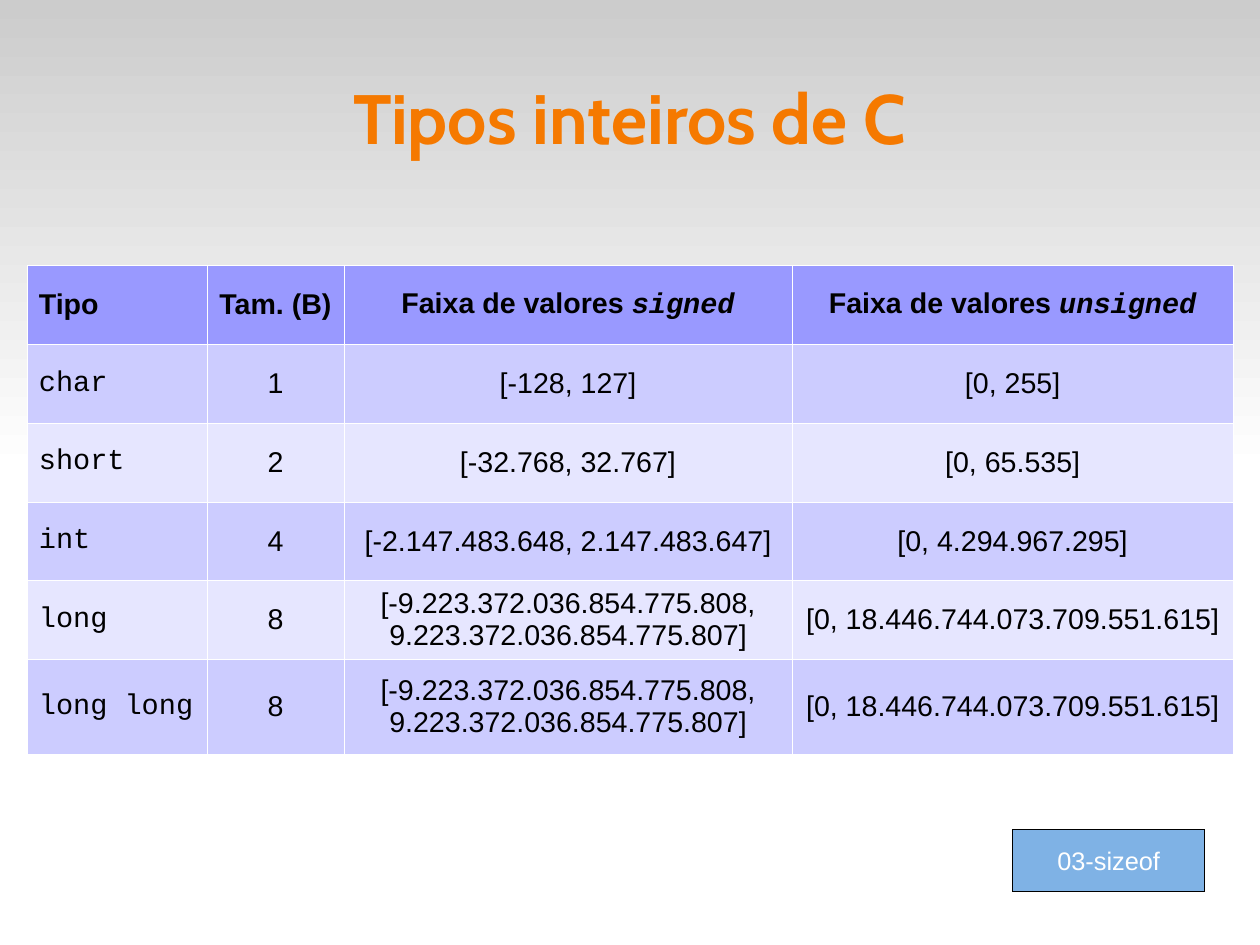
import dataclasses

import lxml.etree
import pptx
import pptx.dml.color
import pptx.enum.shapes
import pptx.enum.text
import pptx.oxml.ns
import pptx.util

Inches = pptx.util.Inches
ALIGN = pptx.enum.text.PP_ALIGN
MIDDLE = pptx.enum.text.MSO_ANCHOR.MIDDLE
RECT = pptx.enum.shapes.MSO_SHAPE.RECTANGLE
SANS, MONO = "Arial", "Courier New"
HEAD, DARK, LIGHT = "9999FF", "CCCCFF", "E6E6FF"
WIDE, HIGH = 28 / 2.54, 21 / 2.54
WIDTHS = (1.57, 1.2, 3.92, 3.86)
HEIGHTS = (0.69,) * 5 + (0.83,)
LONG = "[-9.223.372.036.854.775.808, 9.223.372.036.854.775.807]"
ULONG = "[0, 18.446.744.073.709.551.615]"


@dataclasses.dataclass
class Kind:
    name: str
    size: int
    signed: str
    unsigned: str


KINDS = [
    Kind("char", 1, "[-128, 127]", "[0, 255]"),
    Kind("short", 2, "[-32.768, 32.767]", "[0, 65.535]"),
    Kind("int", 4, "[-2.147.483.648, 2.147.483.647]", "[0, 4.294.967.295]"),
    Kind("long", 8, LONG, ULONG),
    Kind("long long", 8, LONG, ULONG),
]


def color(code: str) -> pptx.dml.color.RGBColor:
    return pptx.dml.color.RGBColor.from_string(code)


def write(frame, text: str, *, size: float = 18, font: str = SANS,
          fill: str = "000000", bold: bool = False, italic: bool = False,
          align=ALIGN.CENTER) -> None:
    """Append a run to the first paragraph of the frame."""
    para = frame.paragraphs[0]
    para.alignment = align
    run = para.add_run()
    run.text = text
    run.font.size = pptx.util.Pt(size)
    run.font.name = font
    run.font.bold = bold
    run.font.italic = italic
    run.font.color.rgb = color(fill)


def add_tag(parent, name: str, **attrs: str):
    return lxml.etree.SubElement(parent, pptx.oxml.ns.qn(name), attrs)


def edge_cell(cell, code: str) -> None:
    """Draw hairlines on all four sides, ahead of the cell's fill."""
    props = cell._tc.get_or_add_tcPr()
    for spot, side in enumerate(("a:lnL", "a:lnR", "a:lnT", "a:lnB")):
        line = add_tag(props, side, w="720")
        solid = add_tag(line, "a:solidFill")
        add_tag(solid, "a:srgbClr", val=code)
        props.insert(spot, line)


def add_box(slide, left: float, top: float, width: float, height: float):
    box = slide.shapes.add_shape(
        RECT, Inches(left), Inches(top), Inches(width), Inches(height))
    box.shadow.inherit = False
    return box


def add_band(slide) -> None:
    band = add_box(slide, 0, 0, WIDE, HIGH / 2)
    band.line.fill.background()
    band.fill.gradient()
    band.fill.gradient_angle = 270
    for stop, code in zip(band.fill.gradient_stops, ("CCCCCC", "FFFFFF")):
        stop.color.rgb = color(code)
    band.element.getparent().insert(2, band.element)


def add_title(slide) -> None:
    title = slide.shapes.title
    title.left, title.top = Inches(0.55), Inches(0.33)
    title.width, title.height = Inches(9.92), Inches(1.38)
    frame = title.text_frame
    frame.margin_left = frame.margin_right = 0
    frame.margin_top = frame.margin_bottom = 0
    frame.vertical_anchor = MIDDLE
    write(frame, "Tipos inteiros de C", size=44, font="Cabin",
          fill="F57900", bold=True)


def add_grid(slide) -> None:
    table = slide.shapes.add_table(
        len(HEIGHTS), len(WIDTHS), Inches(0.24), Inches(2.32),
        Inches(sum(WIDTHS)), Inches(sum(HEIGHTS))).table
    for col, width in zip(table.columns, WIDTHS):
        col.width = Inches(width)
    for row, height in zip(table.rows, HEIGHTS):
        row.height = Inches(height)

    for pos, row in enumerate(table.rows):
        for cell in row.cells:
            cell.vertical_anchor = MIDDLE
            cell.fill.solid()
            shade = HEAD if pos == 0 else DARK if pos % 2 else LIGHT
            cell.fill.fore_color.rgb = color(shade)
            edge_cell(cell, "FFFFFF")

    heads = [cell.text_frame for cell in table.rows[0].cells]
    write(heads[0], "Tipo", bold=True, align=ALIGN.LEFT)
    write(heads[1], "Tam. (B)", bold=True)
    for frame, word in zip(heads[2:], ("signed", "unsigned")):
        write(frame, "Faixa de valores ", bold=True)
        write(frame, word, font=MONO, bold=True, italic=True)

    for pos, kind in enumerate(KINDS, 1):
        first, *rest = [cell.text_frame for cell in table.rows[pos].cells]
        write(first, kind.name, font=MONO, align=ALIGN.LEFT)
        for frame, value in zip(rest, (kind.size, kind.signed, kind.unsigned)):
            write(frame, str(value))


def add_label(slide) -> None:
    label = add_box(slide, 8.86, 7.26, 1.68, 0.54)
    label.fill.solid()
    label.fill.fore_color.rgb = color("0066CC")
    tint = label.element.spPr.find(".//" + pptx.oxml.ns.qn("a:srgbClr"))
    add_tag(tint, "a:alpha", val="50000")
    label.line.color.rgb = color("000000")
    label.line.width = pptx.util.Pt(0.01)
    label.text_frame.word_wrap = False
    label.text_frame.vertical_anchor = MIDDLE
    write(label.text_frame, "03-sizeof", size=16, fill="FFFFFF")


def main() -> None:
    deck = pptx.Presentation()
    deck.slide_width = Inches(WIDE)
    deck.slide_height = Inches(HIGH)
    slide = deck.slides.add_slide(deck.slide_layouts[5])
    add_band(slide)
    add_title(slide)
    add_grid(slide)
    add_label(slide)
    deck.save("out.pptx")


if __name__ == "__main__":
    main()
